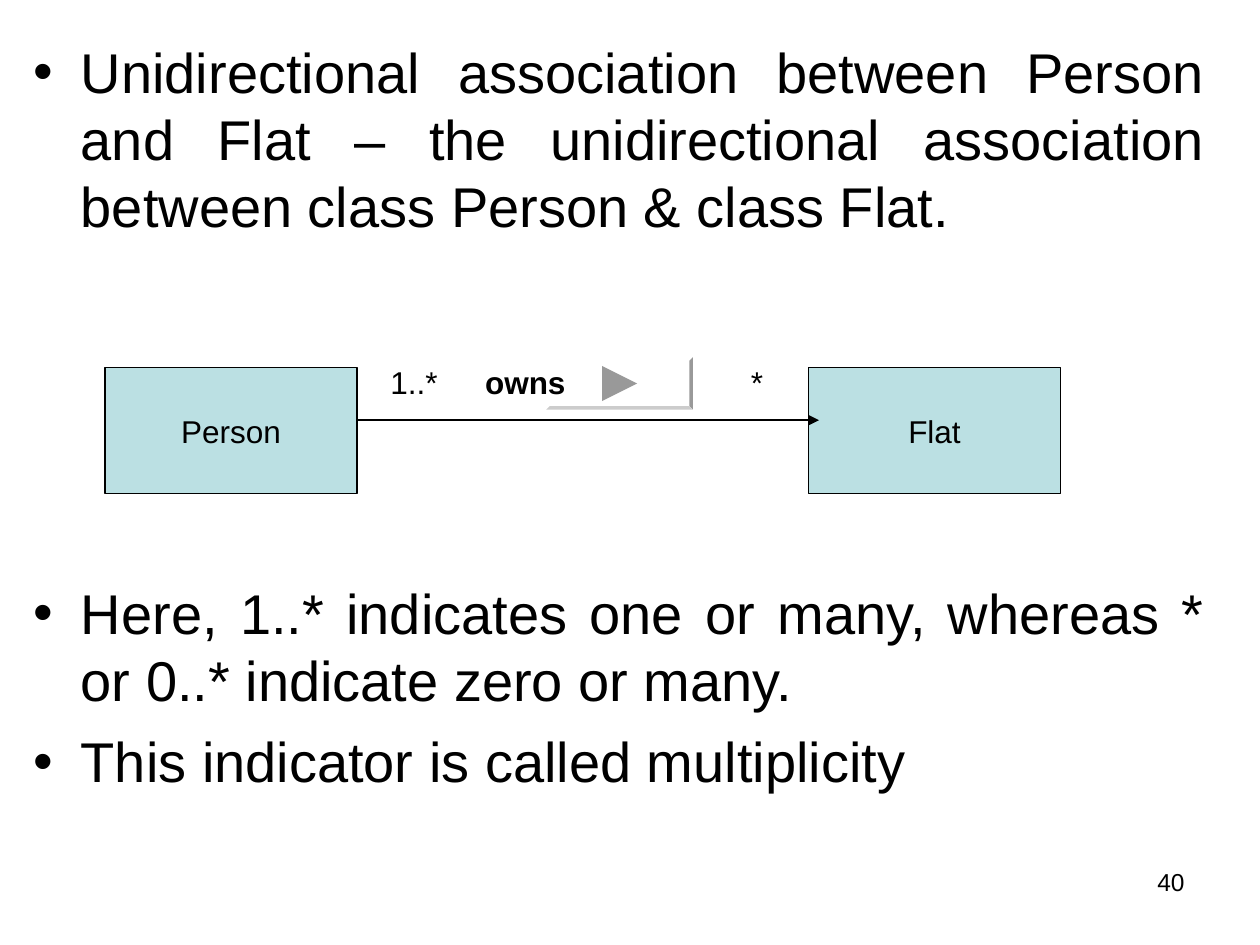
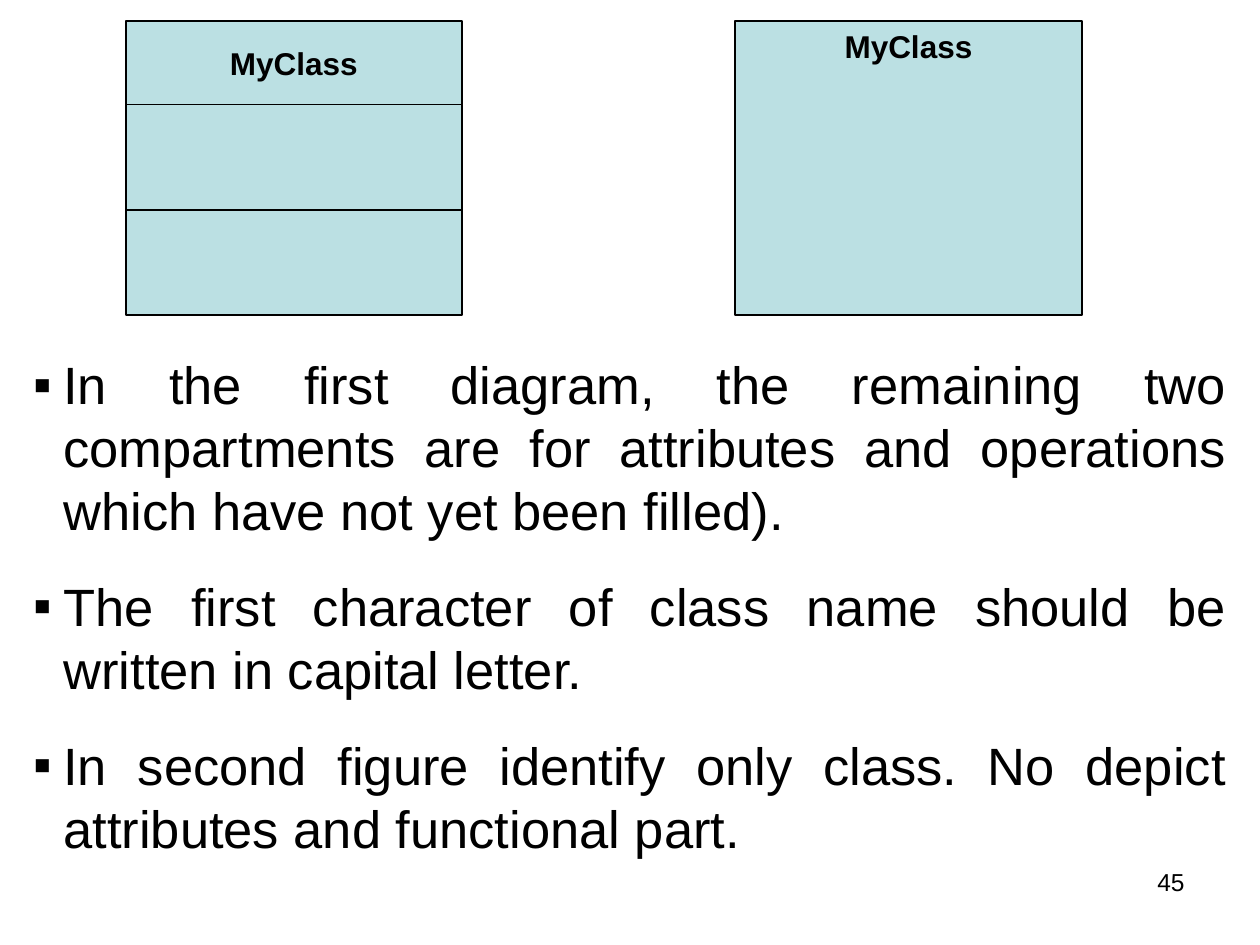
from dataclasses import dataclass

from lxml import etree
from pptx import Presentation
from pptx.dml.color import RGBColor
from pptx.enum.shapes import MSO_CONNECTOR, MSO_SHAPE
from pptx.enum.text import MSO_ANCHOR, PP_ALIGN
from pptx.oxml.ns import qn
from pptx.util import Cm, Pt

RECT = MSO_SHAPE.RECTANGLE
LINE = MSO_CONNECTOR.STRAIGHT
TOP, MIDDLE = MSO_ANCHOR.TOP, MSO_ANCHOR.MIDDLE
LEFT, RIGHT = PP_ALIGN.LEFT, PP_ALIGN.RIGHT
CENTER, FULL = PP_ALIGN.CENTER, PP_ALIGN.JUSTIFY


@dataclass(frozen=True)
class Theme:
    font: str = "Arial"
    ink: str = "000000"
    fill: str = "BBE0E3"
    paper: str = "FFFFFF"
    shade: str = "999999"
    light: str = "CCCCCC"
    large: int = 32
    medium: int = 30
    label: int = 18
    number: int = 14
    pen: int = 1


class Deck:
    def __init__(self, theme):
        self.theme = theme
        self.show = Presentation()
        self.show.slide_width, self.show.slide_height = Cm(25.4), Cm(19.05)
        self.slide = None

    def page(self, number):
        self.slide = self.show.slides.add_slide(self.show.slide_layouts[6])
        self.text(str(number), 18.21, 17.36, 5.92, 1.32,
                  size=self.theme.number, align=RIGHT)

    def style(self, para, size, align, bold=False):
        para.alignment = align
        for run in para.runs:
            run.font.name = self.theme.font
            run.font.size = Pt(size)
            run.font.bold = bold
            run.font.color.rgb = RGBColor.from_string(self.theme.ink)

    def frame(self, x, y, w, h):
        box = self.slide.shapes.add_textbox(Cm(x), Cm(y), Cm(w), Cm(h))
        box.text_frame.word_wrap = True
        return box.text_frame

    def text(self, words, x, y, w, h, size=None, align=LEFT, bold=False):
        frame = self.frame(x, y, w, h)
        frame.text = words
        self.style(frame.paragraphs[0], size or self.theme.label, align, bold)

    def bullets(self, items, x, y, w, h, size, mark, indent):
        frame = self.frame(x, y, w, h)
        for i, (words, gap) in enumerate(items):
            para = frame.add_paragraph() if i else frame.paragraphs[0]
            para.text = words
            props = para._p.get_or_add_pPr()
            props.set("marL", str(Cm(indent)))
            props.set("indent", str(-Cm(indent)))
            etree.SubElement(props, qn("a:buFont"), typeface=self.theme.font)
            etree.SubElement(props, qn("a:buChar"), char=mark)
            self.style(para, size, FULL)
            if gap:
                para.space_before = Pt(gap)

    def paint(self, shape, color):
        shape.shadow.inherit = False
        shape.fill.solid()
        shape.fill.fore_color.rgb = RGBColor.from_string(color)

    def stroke(self, shape):
        shape.line.color.rgb = RGBColor.from_string(self.theme.ink)
        shape.line.width = Pt(self.theme.pen)

    def box(self, x, y, w, h, words="", bold=False, anchor=MIDDLE):
        shape = self.slide.shapes.add_shape(RECT, Cm(x), Cm(y), Cm(w), Cm(h))
        self.paint(shape, self.theme.fill)
        self.stroke(shape)
        if words:
            frame = shape.text_frame
            frame.word_wrap = False
            frame.vertical_anchor = anchor
            frame.text = words
            self.style(frame.paragraphs[0], self.theme.label, CENTER, bold)

    def facet(self, color, *points):
        start, *rest = [(Cm(x), Cm(y)) for x, y in points]
        path = self.slide.shapes.build_freeform(*start)
        path.add_line_segments(rest, close=True)
        shape = path.convert_to_shape()
        self.paint(shape, color)
        shape.line.fill.background()

    def button(self, x, y, w, h, lip):
        right, base = x + w, y + h
        tone = self.theme
        self.facet(tone.paper, (x, y), (right, y), (right, base), (x, base))
        self.facet(tone.shade, (right, y), (right, base),
                   (right - lip, base - lip), (right - lip, y + lip))
        self.facet(tone.light, (right, base), (x, base),
                   (x + lip, base - lip), (right - lip, base - lip))
        mid, half = y + h / 2, h / 3
        tip = x + w / 2 + half
        self.facet(tone.shade, (tip - 2 * half, mid - half), (tip, mid),
                   (tip - 2 * half, mid + half))

    def arrow(self, x, y, end):
        line = self.slide.shapes.add_connector(LINE, Cm(x), Cm(y), Cm(end), Cm(y))
        self.stroke(line)
        etree.SubElement(line.line._get_or_add_ln(), qn("a:tailEnd"), type="triangle")
        etree.SubElement(line._element.spPr, qn("a:effectLst"))


def link(deck):
    deck.page(40)
    deck.bullets([
        ("Unidirectional association between Person and Flat – the unidirectional "
         "association between class Person & class Flat.", 0),
        ("Here, 1..* indicates one or many, whereas * or 0..* indicate zero or many.", 194),
        ("This indicator is called multiplicity", 8),
    ], 0.42, 0.63, 24.13, 16.5, deck.theme.large, "•", 0.96)
    for name, x in (("Person", 2.12), ("Flat", 16.3)):
        deck.box(x, 7.41, 5.08, 2.54, name)
    top, high = 7.2, 1.02
    deck.text("1..*", 7.62, top, 2, high)
    deck.text("*", 14.89, top, 1.4, high)
    deck.button(11.01, top, 2.96, 1.06, 0.07)
    deck.text("owns", 9.53, top, 2.33, high, bold=True)
    deck.arrow(7.2, 8.47, 16.51)


def classes(deck):
    deck.page(45)
    y = 0.42
    for name, high in (("MyClass", 1.69), ("", 2.12), ("", 2.12)):
        deck.box(2.54, y, 6.77, high, name, bold=True)
        y += high
    deck.box(14.82, 0.42, 6.99, 5.93, "MyClass", bold=True, anchor=TOP)
    deck.bullets([
        ("In the first diagram, the remaining two compartments are for attributes "
         "and operations which have not yet been filled).", 0),
        ("The first character of class name should be written in capital letter.", 18.7),
        ("In second figure identify only class. No depict attributes and "
         "functional part.", 18.7),
    ], 0.42, 6.98, 24.56, 10.46, deck.theme.medium, "▪", 0.61)


def main():
    deck = Deck(Theme())
    link(deck)
    classes(deck)
    deck.show.save("out.pptx")


if __name__ == "__main__":
    main()
